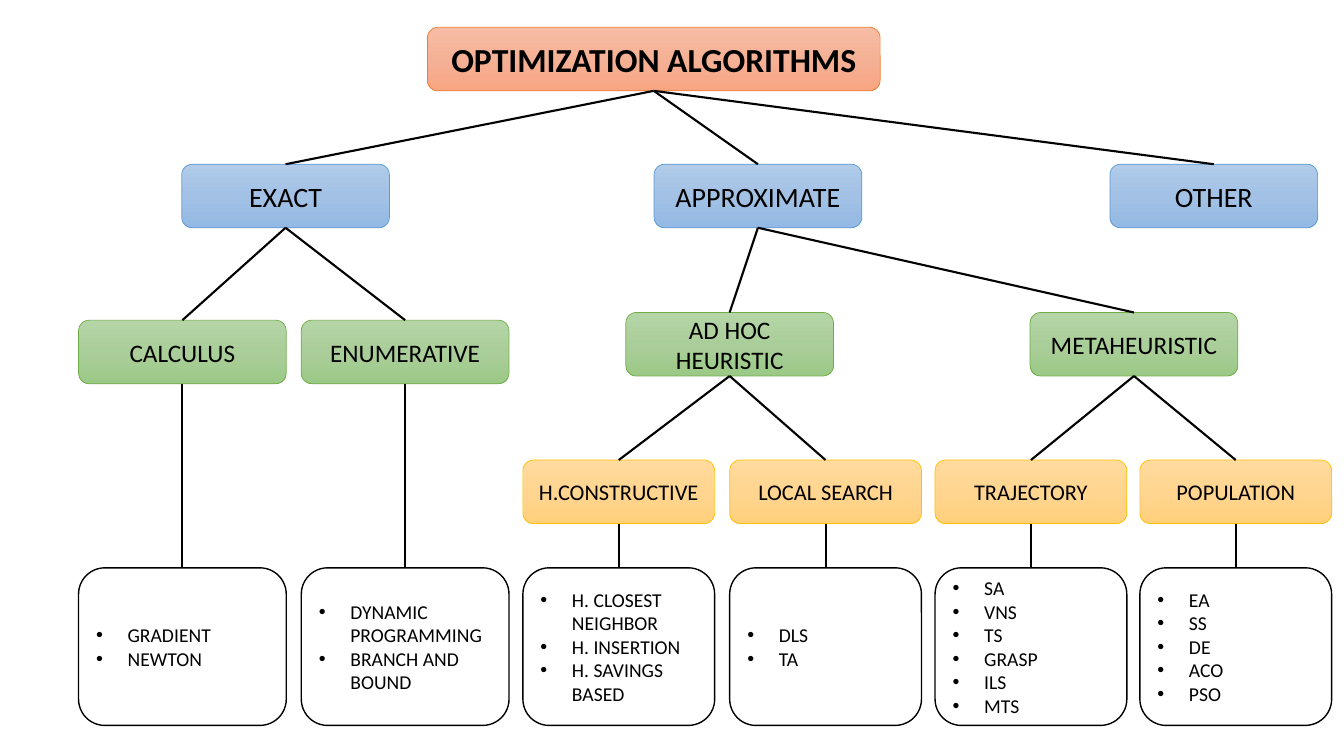
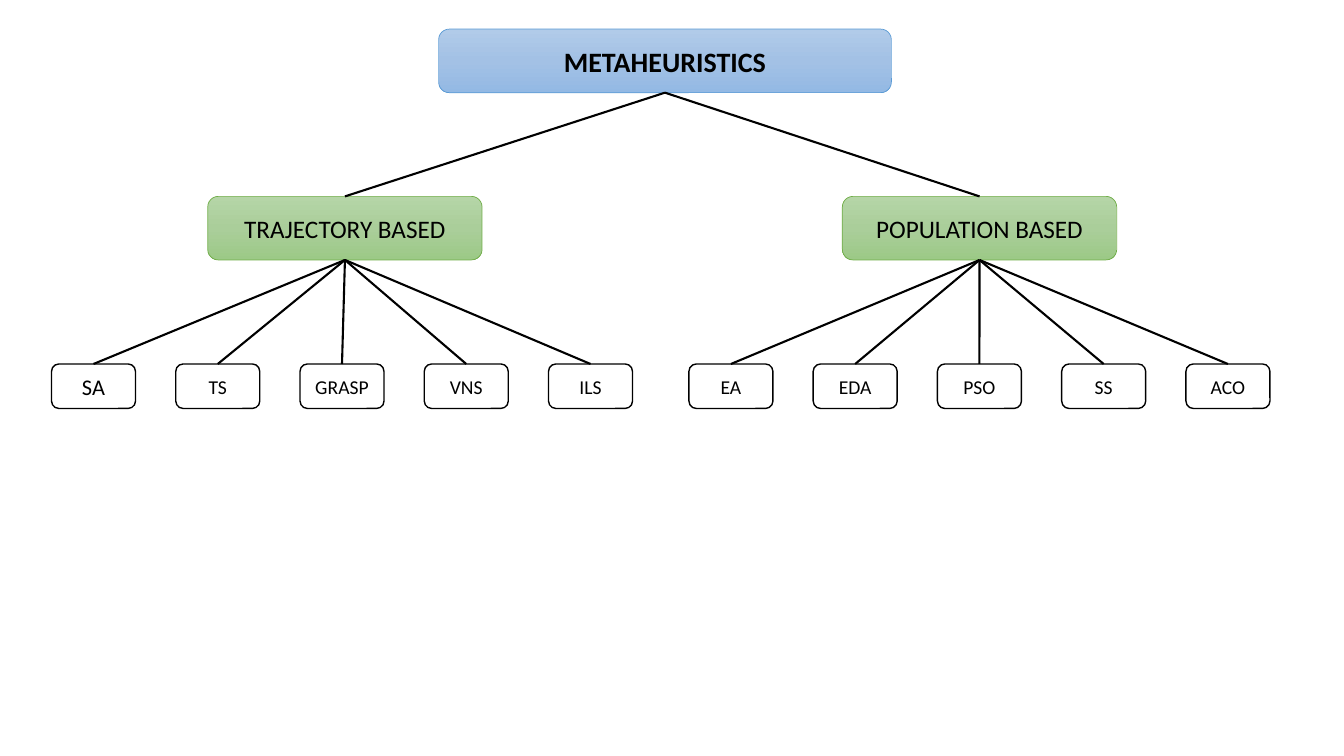
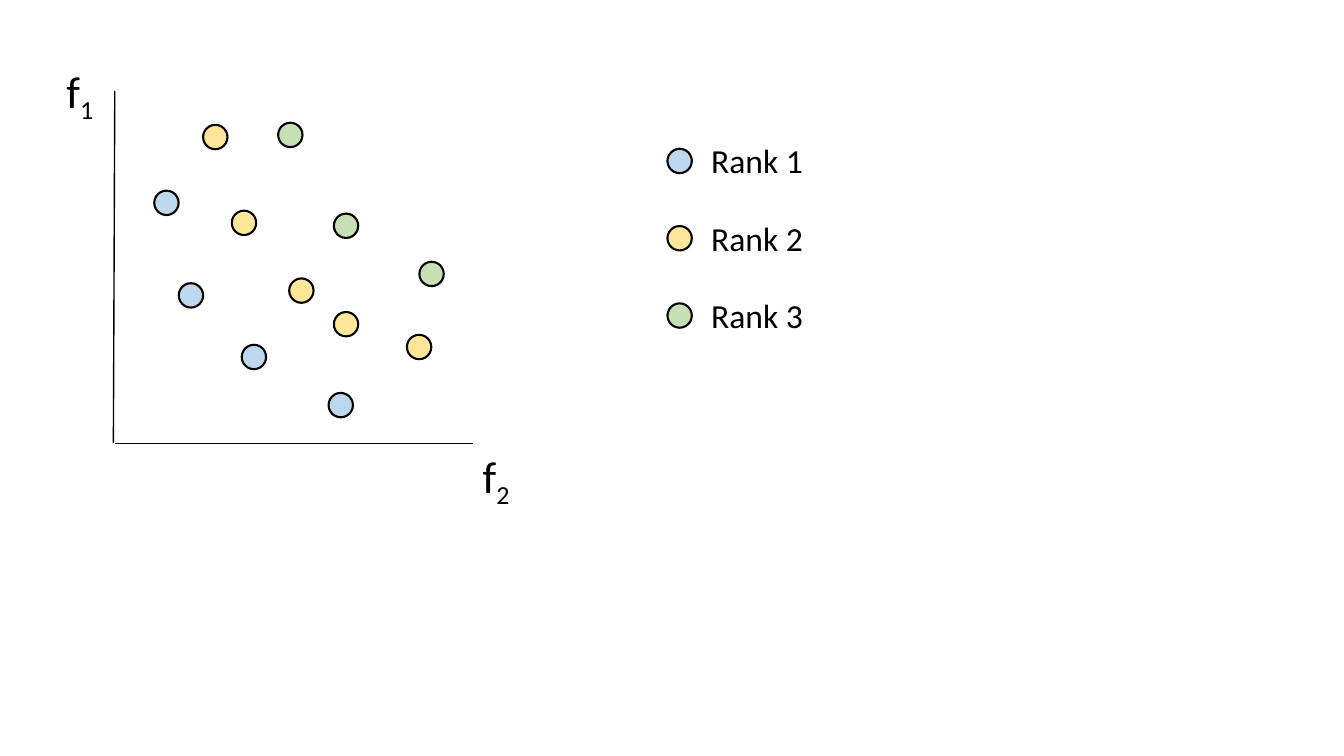
import copy
from dataclasses import dataclass, replace

import pptx
import pptx.dml.color
import pptx.enum.shapes
import pptx.enum.text
import pptx.oxml
import pptx.oxml.ns
import pptx.util

Pt = pptx.util.Pt
Rgb = pptx.dml.color.RGBColor.from_string
Kind = pptx.enum.shapes.MSO_SHAPE
Align = pptx.enum.text.PP_ALIGN
Fit = pptx.enum.text.MSO_AUTO_SIZE
Anchor = pptx.enum.text.MSO_ANCHOR
tag = pptx.oxml.ns.qn


@dataclass(frozen=True)
class Tone:
    fill: tuple
    edge: str
    thick: float = 0.5


@dataclass(frozen=True)
class Look:
    tone: Tone
    size: float
    wide: float
    tall: float = 45.4
    bold: bool = False


class Theme:
    font = "Calibri"
    ink = "000000"
    link = 1.5
    axis = 1
    label = 24
    sign = 32
    dot = 17.4
    hang = 22.5
    ranks = ("BDD7EE", "FFE699", "C5E0B4")

    orange = Tone(("F7BDA5", "F5B196", "F8A582"), "ED7D31")
    blue = Tone(("B1CBE9", "A3C1E5", "93B9E4"), "5B9BD5")
    green = Tone(("B5D5A7", "AACE9A", "9CC987"), "70AD47")
    gold = Tone(("FFDB9E", "FFD590", "FFD07C"), "FFC000")
    white = Tone(("FFFFFF",), ink, 1)

    root = Look(orange, 24, 323.4, bold=True)
    class_ = Look(blue, 20, 148.4)
    type_ = Look(green, 18, 148.4)
    kind = Look(gold, 16, 137)
    list_ = Look(white, 14, 137, 112.6)
    head = replace(root, tone=blue, size=20)
    group = replace(type_, wide=196)
    leaf = Look(white, 14, 60, 31.8)


def put(item, form):
    for key, value in form.items():
        setattr(item, key, value)


def paint(shape, tone):
    shape.shadow.inherit = False
    shape.line.color.rgb = Rgb(tone.edge)
    shape.line.width = Pt(tone.thick)
    fill = shape.fill
    if len(tone.fill) == 1:
        fill.solid()
        fill.fore_color.rgb = Rgb(tone.fill[0])
        return
    fill.gradient()
    fill.gradient_angle = 270
    stops = shape.element.find(".//" + tag("a:gsLst"))
    stops.insert(1, copy.deepcopy(stops[0]))
    for stop, place, shade in zip(fill.gradient_stops, (0, 0.5, 1), tone.fill):
        stop.position = place
        stop.color.rgb = Rgb(shade)


def write(para, text, size, bold=False):
    run = para.add_run()
    run.text = text
    put(run.font, {"name": Theme.font, "size": Pt(size), "bold": bold})
    run.font.color.rgb = Rgb(Theme.ink)
    return run


def mark(para):
    props = para._p.get_or_add_pPr()
    hang = Pt(Theme.hang)
    props.set("marL", str(hang))
    props.set("indent", str(-hang))
    for name, key, value in (("a:buFont", "typeface", "Arial"), ("a:buChar", "char", "•")):
        part = pptx.oxml.ns.qn(name)
        props.append(props.makeelement(part, {key: value}))


def line(slide, start, end, thick):
    straight = pptx.enum.shapes.MSO_CONNECTOR.STRAIGHT
    item = slide.shapes.add_connector(straight, *map(Pt, start + end))
    item.line.color.rgb = Rgb(Theme.ink)
    item.line.width = Pt(thick)
    props = item.element.spPr
    props.append(props.makeelement(tag("a:effectLst"), {}))
    return item


def join(slide, upper, lower):
    item = line(slide, (0, 0), (0, 0), Theme.link)
    item.begin_connect(upper, 2)
    item.end_connect(lower, 0)


def box(slide, text, look, mid, top, parent=None):
    spot = (mid - look.wide / 2, top, look.wide, look.tall)
    shape = slide.shapes.add_shape(Kind.ROUNDED_RECTANGLE, *map(Pt, spot))
    paint(shape, look.tone)
    frame = shape.text_frame
    put(frame, {"word_wrap": True, "vertical_anchor": Anchor.MIDDLE})
    listed = isinstance(text, tuple)
    for count, words in enumerate(text if listed else (text,)):
        para = frame.add_paragraph() if count else frame.paragraphs[0]
        para.alignment = Align.LEFT if listed else Align.CENTER
        if listed:
            mark(para)
        write(para, words, look.size, look.bold)
    if parent is not None:
        join(slide, parent, shape)
    return shape


def dot(slide, shade, x, y):
    side = Theme.dot
    spot = (x - side / 2, y - side / 2, side, side)
    shape = slide.shapes.add_shape(Kind.OVAL, *map(Pt, spot))
    paint(shape, Tone((shade,), Theme.ink, Theme.link))


def label(slide, text, spot, size, align, sub=None):
    frame = slide.shapes.add_textbox(*map(Pt, spot)).text_frame
    put(frame, {"word_wrap": True, "auto_size": Fit.SHAPE_TO_FIT_TEXT})
    para = frame.paragraphs[0]
    para.alignment = align
    write(para, text, size)
    if sub:
        run = write(para, sub, size)
        run._r.get_or_add_rPr().set("baseline", "-25000")


def draw_tree(slide):
    root = box(slide, "OPTIMIZATION ALGORITHMS", Theme.root, 467, 19.5)
    exact, approx, _ = [
        box(slide, text, Theme.class_, mid, 117.3, root)
        for text, mid in (("EXACT", 204), ("APPROXIMATE", 541.4), ("OTHER", 867))
    ]
    wide = replace(Theme.list_, wide=Theme.type_.wide)
    methods = (
        ("CALCULUS", 130.3, ("GRADIENT", "NEWTON")),
        ("ENUMERATIVE", 289.4, ("DYNAMIC PROGRAMMING", "BRANCH AND BOUND")),
    )
    for text, mid, names in methods:
        upper = box(slide, text, Theme.type_, mid, 228.7, exact)
        box(slide, names, wide, mid, 405.6, upper)
    searches = (
        ("AD HOC HEURISTIC", 521.2, (
            ("H.CONSTRUCTIVE", 442, ("H. CLOSEST NEIGHBOR", "H. INSERTION", "H. SAVINGS BASED")),
            ("LOCAL SEARCH", 589.7, ("DLS", "TA")),
        )),
        ("METAHEURISTIC", 810, (
            ("TRAJECTORY", 736.4, ("SA", "VNS", "TS", "GRASP", "ILS", "MTS")),
            ("POPULATION", 882.7, ("EA", "SS", "DE", "ACO", "PSO")),
        )),
    )
    for text, mid, kinds in searches:
        upper = box(slide, text, Theme.type_, mid, 223.2, approx)
        for name, place, names in kinds:
            lower = box(slide, name, Theme.kind, place, 328.6, upper)
            box(slide, names, Theme.list_, place, 405.6, lower)


def draw_groups(slide):
    root = box(slide, "METAHEURISTICS", Theme.head, 475, 20.8)
    groups = (
        ("TRAJECTORY BASED", 246.4, 66.8, ("SA", "TS", "GRASP", "VNS", "ILS")),
        ("POPULATION BASED", 699.7, 522.1, ("EA", "EDA", "PSO", "SS", "ACO")),
    )
    for text, mid, first, names in groups:
        upper = box(slide, text, Theme.group, mid, 140.3, root)
        for count, name in enumerate(names):
            look = replace(Theme.leaf, size=16) if name == "SA" else Theme.leaf
            box(slide, name, look, first + 88.75 * count, 260, upper)


def draw_ranks(slide):
    line(slide, (82, 65), (81, 316.6), Theme.axis)
    line(slide, (337.6, 316.6), (82, 316.6), Theme.axis)
    for sub, x, y in (("1", 40.3, 41.8), ("2", 337.6, 316.8)):
        label(slide, "f", (x, y, 58.3, 46), Theme.sign, Align.LEFT, sub)
    points = (
        ((118.9, 144.9), (136.4, 211), (181.4, 255), (243.4, 289.4)),
        ((153.8, 97.9), (174.3, 159.2), (215.3, 207.6), (247.2, 231.6), (299.4, 247.9)),
        ((207.4, 96.4), (247.2, 161.3), (308.3, 195.7)),
    )
    for count, (shade, places) in enumerate(zip(Theme.ranks, points)):
        for x, y in places:
            dot(slide, shade, x, y)
        drop = 55.2 * count
        dot(slide, shade, 485.5, 115 + drop)
        spot = (481, 96.6 + drop, 119.5, 36)
        label(slide, f"Rank {count + 1}", spot, Theme.label, Align.CENTER)


def main():
    deck = pptx.Presentation()
    put(deck, {"slide_width": Pt(960), "slide_height": Pt(540)})
    for draw in (draw_tree, draw_groups, draw_ranks):
        draw(deck.slides.add_slide(deck.slide_layouts[6]))
    deck.save("out.pptx")


if __name__ == "__main__":
    main()
